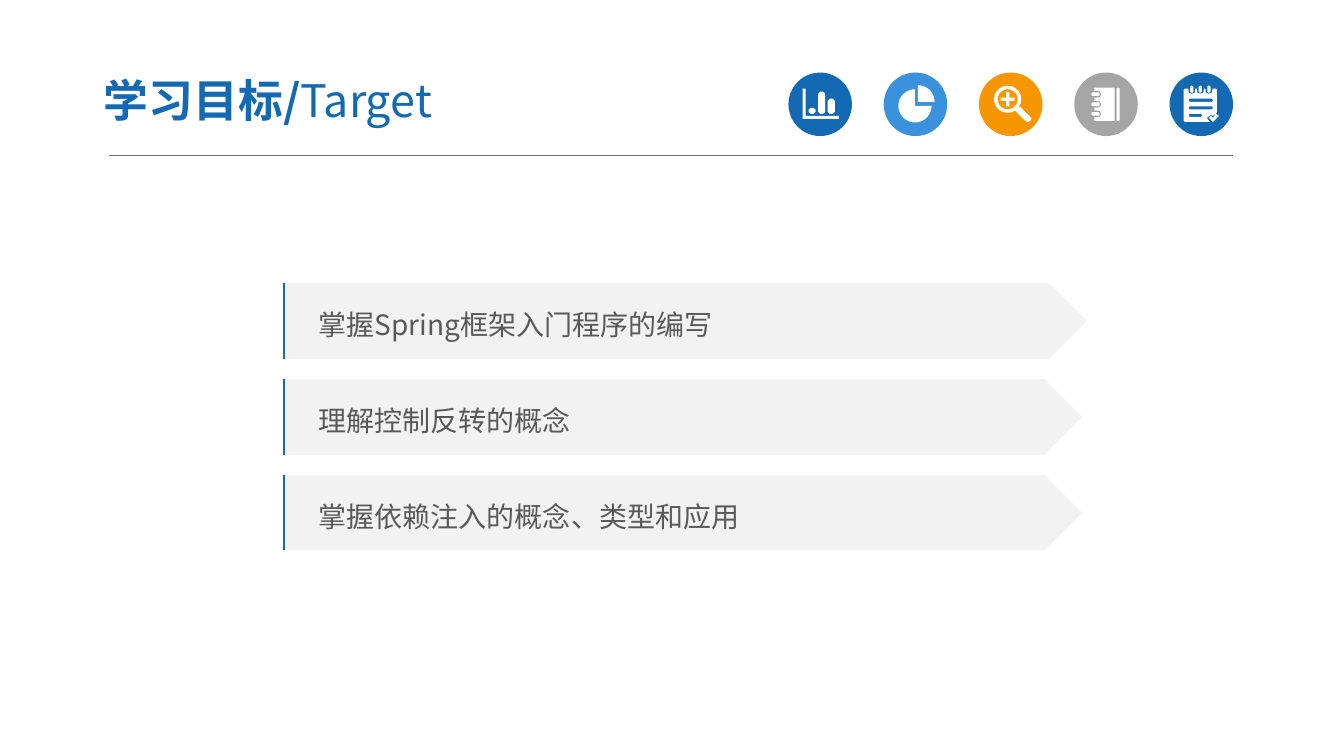
import math
import pptx
import pptx.util
import pptx.dml.color
import pptx.enum.shapes
import pptx.enum.text
import pptx.oxml.ns
import lxml.etree

Inches = pptx.util.Inches
Pt = pptx.util.Pt
SHAPE = pptx.enum.shapes.MSO_SHAPE
FONT = "Noto Sans CJK SC"
COLORS = {"blue": "1369B2", "sky": "3992DB", "orange": "F79600", "gray": "A5A5A5",
          "white": "FFFFFF", "rule": "767171", "bar": "F2F2F2", "text": "595959"}
GOALS = [("掌握Spring框架入门程序的编写", 7.97),
         ("理解控制反转的概念", 7.92),
         ("掌握依赖注入的概念、类型和应用", 7.92)]


def rgb(name):
    return pptx.dml.color.RGBColor.from_string(COLORS[name])


def paint(shape, color):
    shape.shadow.inherit = False
    shape.fill.solid()
    shape.fill.fore_color.rgb = rgb(color)
    shape.line.fill.background()


def add_part(shapes, kind, left, top, width, height, color):
    part = shapes.add_shape(kind, Inches(left), Inches(top), Inches(width), Inches(height))
    paint(part, color)
    return part


def style_text(para, size, color):
    para.font.size = Pt(size)
    para.font.name = FONT
    para.font.color.rgb = rgb(color)
    para.alignment = pptx.enum.text.PP_ALIGN.LEFT


# Outlines, measured in inches from the corner of an icon disc
def rounded(x, y, width, height, cut=0.01):
    right, bottom = x + width, y + height
    return [(x + cut, y), (right - cut, y), (right, y + cut), (right, bottom - cut),
            (right - cut, bottom), (x + cut, bottom), (x, bottom - cut), (x, y + cut)]


def arc(x, y, radius, start=0, sweep=360, steps=20):
    angles = [math.radians(start + sweep * step / steps) for step in range(steps + 1)]
    return [(x + radius * math.cos(angle), y + radius * math.sin(angle)) for angle in angles]


def bars_glyph():
    axes = [(0.14, 0.16), (0.17, 0.16), (0.17, 0.43), (0.5, 0.43), (0.5, 0.46), (0.14, 0.46)]
    columns = [rounded(0.2 + 0.095 * index, 0.41 - height, 0.07, height, 0.02)
               for index, height in enumerate([0.06, 0.22, 0.15])]
    return [axes] + columns


def pie_glyph():
    return [[(0.31, 0.33)] + arc(0.31, 0.33, 0.165, 0, 270),
            [(0.34, 0.29)] + arc(0.34, 0.29, 0.165, 270, 90, 6)]


def magnifier_glyph():
    x, y, reach, half = 0.285, 0.265, 0.07, 0.016
    plus = [(x - half, y - reach), (x + half, y - reach), (x + half, y - half),
            (x + reach, y - half), (x + reach, y + half), (x + half, y + half),
            (x + half, y + reach), (x - half, y + reach), (x - half, y + half),
            (x - reach, y + half), (x - reach, y - half), (x - half, y - half)]
    handle = [(0.41, 0.34), (0.51, 0.44), (0.52, 0.46), (0.51, 0.48), (0.48, 0.49),
              (0.46, 0.48), (0.36, 0.38), (0.38, 0.36)]
    return [arc(x, y, 0.135), arc(x, y, 0.1), plus, handle]


def notebook_glyph():
    middles = [0.215, 0.315, 0.41]
    body = [(0.2, 0.15), (0.4, 0.15), (0.4, 0.48), (0.2, 0.48)]
    for y in reversed(middles):
        body += [(0.2, y + 0.035), (0.25, y + 0.03), (0.27, y), (0.25, y - 0.03), (0.2, y - 0.035)]
    rings = [rounded(0.17, y - 0.018, 0.08, 0.036) for y in middles]
    return [body, rounded(0.42, 0.15, 0.03, 0.33)] + rings


def checklist_glyph():
    middles = [0.22 + 0.085 * index for index in range(3)]
    body = [(0.14, 0.17), (0.15, 0.16)]
    for x in middles:
        body += [(x - 0.035, 0.16), (x - 0.03, 0.2), (x, 0.21), (x + 0.03, 0.2), (x + 0.035, 0.16)]
    body += [(0.46, 0.16), (0.47, 0.17), (0.47, 0.4), (0.43, 0.43), (0.41, 0.42),
             (0.37, 0.45), (0.4, 0.49), (0.15, 0.49), (0.14, 0.48)]
    rings = [rounded(x - 0.016, 0.13, 0.032, 0.07) for x in middles]
    rows = [rounded(0.19, 0.26 + 0.075 * index, length, 0.03)
            for index, length in enumerate([0.24, 0.24, 0.13])]
    tick = [(0.39, 0.45), (0.41, 0.43), (0.43, 0.45), (0.46, 0.41), (0.49, 0.43), (0.43, 0.49)]
    return [body, tick] + rings + rows


ICONS = [("blue", bars_glyph), ("sky", pie_glyph), ("orange", magnifier_glyph),
         ("gray", notebook_glyph), ("blue", checklist_glyph)]


def add_glyph(shapes, left, top, outlines):
    builder = None
    for outline in outlines:
        points = [(Inches(left + x), Inches(top + y)) for x, y in outline]
        if builder is None:
            builder = shapes.build_freeform(*points[0])
        else:
            builder.move_to(*points[0])
        builder.add_line_segments(points[1:], close=True)
    paint(builder.convert_to_shape(), "white")


def add_icons(page, left, top, size, step):
    for index, (disc, glyph) in enumerate(ICONS):
        shapes = page.shapes.add_group_shape().shapes
        icon_left = left + step * index
        add_part(shapes, SHAPE.OVAL, icon_left, top, size, size, disc)
        add_glyph(shapes, icon_left, top, glyph())


def add_rule(page, left, top, width):
    rule = page.shapes.add_connector(pptx.enum.shapes.MSO_CONNECTOR.STRAIGHT, Inches(left),
                                     Inches(top), Inches(left + width), Inches(top))
    rule.line.color.rgb = rgb("rule")
    rule.line.width = Pt(0.5)
    lxml.etree.SubElement(rule._element.spPr, pptx.oxml.ns.qn("a:effectLst"))


def add_title(page, left, top, width, height):
    box = page.shapes.add_textbox(Inches(left), Inches(top), Inches(width), Inches(height))
    frame = box.text_frame
    frame.word_wrap = True
    frame.vertical_anchor = pptx.enum.text.MSO_ANCHOR.MIDDLE
    frame.margin_left = frame.margin_right = Inches(0.13)
    frame.margin_top = frame.margin_bottom = Inches(0.07)
    para = frame.paragraphs[0]
    style_text(para, 32, "blue")
    for text, bold in [("学习目标/", True), ("Target", False)]:
        span = para.add_run()
        span.text = text
        span.font.bold = bold


def add_edge(shapes, left, top, width, height):
    # The first move widens the frame; only the left side is stroked
    builder = shapes.build_freeform(Inches(left + width), Inches(top))
    builder.move_to(Inches(left), Inches(top + height))
    builder.add_line_segments([(Inches(left), Inches(top))], close=False)
    edge = builder.convert_to_shape()
    edge.shadow.inherit = False
    edge.fill.background()
    edge.line.color.rgb = rgb("blue")
    edge.line.width = Pt(1.5)


def add_goals(page, left, top, height, step):
    for index, (text, width) in enumerate(GOALS):
        shapes = page.shapes.add_group_shape().shapes
        bar_top = top + step * index
        bar = add_part(shapes, SHAPE.PENTAGON, left, bar_top, width, height, "bar")
        frame = bar.text_frame
        frame.word_wrap = True
        frame.vertical_anchor = pptx.enum.text.MSO_ANCHOR.MIDDLE
        frame.margin_left = Inches(0.35)
        para = frame.paragraphs[0]
        para.text = text
        para.line_spacing = 1.2
        style_text(para, 20, "text")
        add_edge(shapes, left + 0.01, bar_top, 0.12, height)


def main():
    deck = pptx.Presentation()
    deck.slide_width = Inches(13.33)
    deck.slide_height = Inches(7.5)
    page = deck.slides.add_slide(deck.slide_layouts[6])
    # Header
    add_rule(page, 1.08, 1.54, 11.15)
    add_icons(page, 7.82, 0.72, 0.63, 0.945)
    add_title(page, 0.9, 0.63, 5.22, 0.72)
    # Learning goals
    add_goals(page, 2.81, 2.81, 0.75, 0.95)
    deck.save("out.pptx")


if __name__ == "__main__":
    main()
